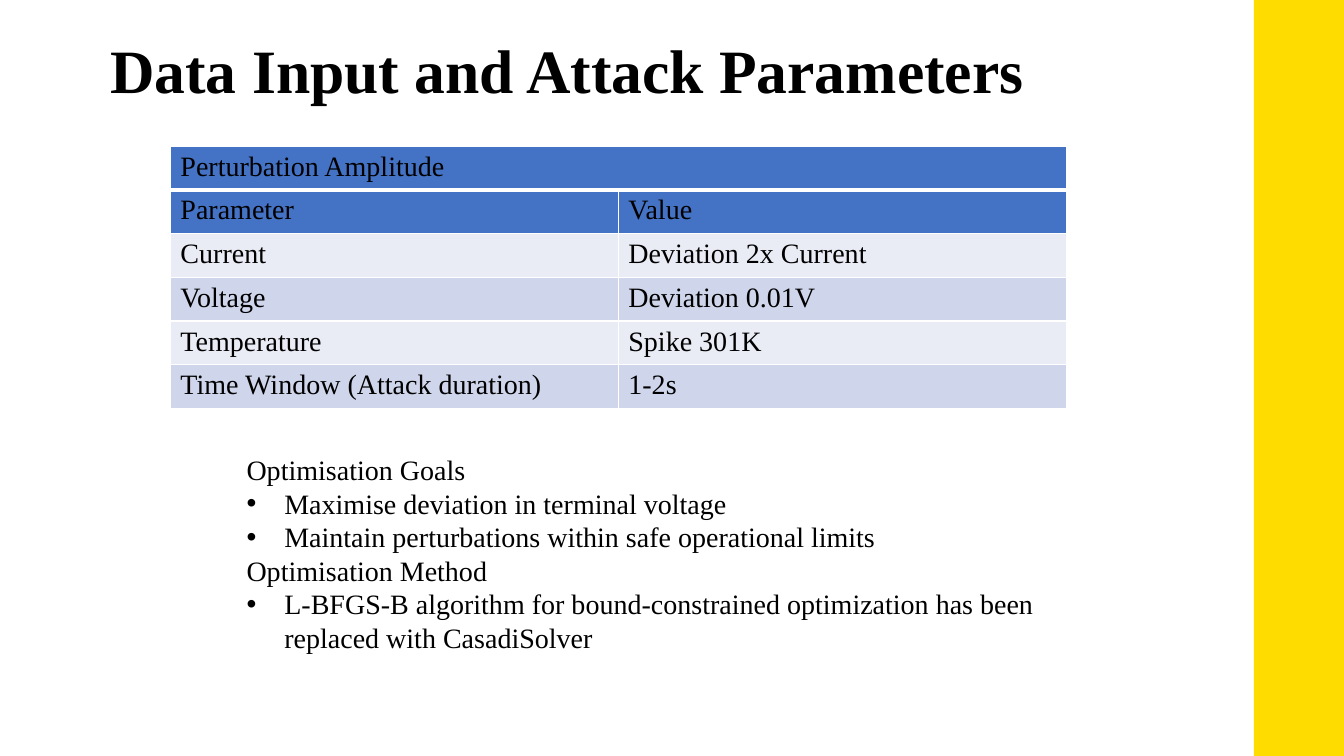
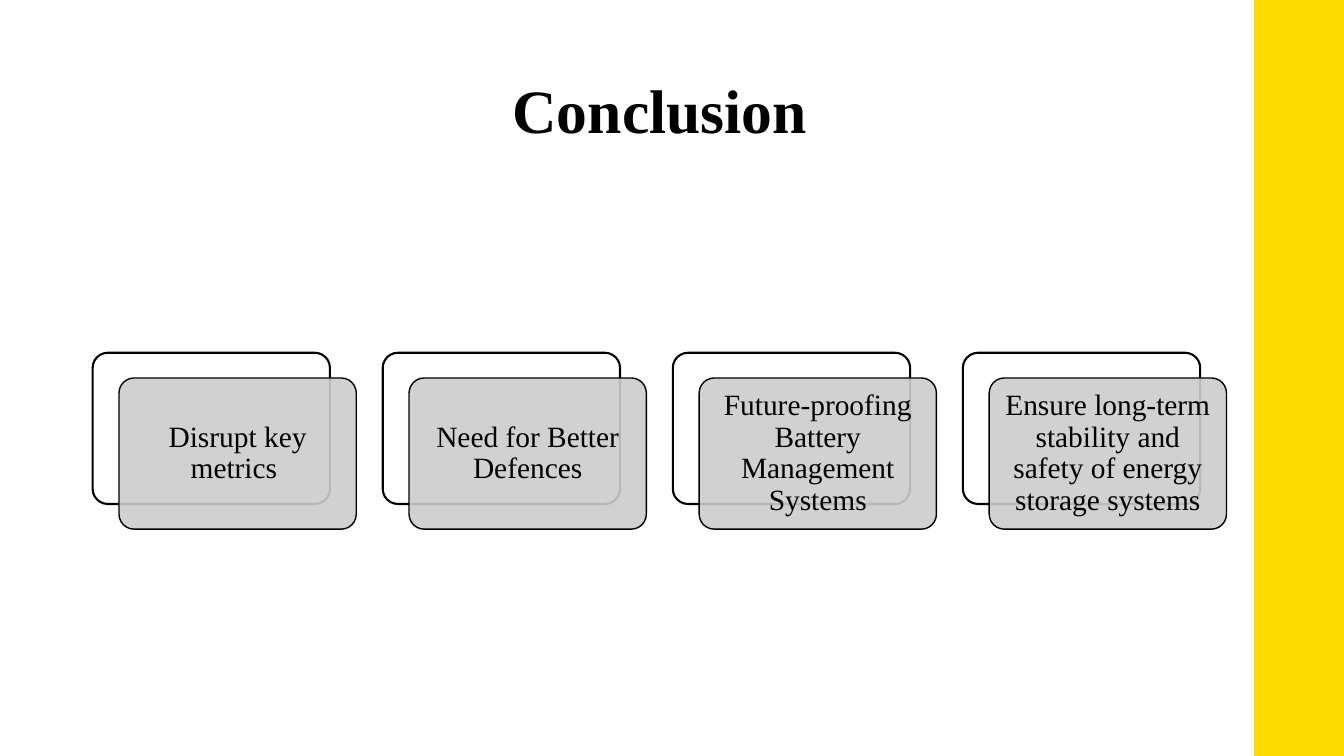
from pptx import Presentation
from pptx.dml.color import RGBColor
from pptx.enum import shapes, text
from pptx.oxml.ns import qn
from pptx.util import Pt
from lxml import etree

FONT = "Times New Roman"
BLACK, WHITE, YELLOW = "000000", "FFFFFF", "FFDC00"
HEADER_BLUE, PALE_BLUE, MID_BLUE = "4472C4", "E9EBF5", "CFD5EA"
CARD_GREY = "CCCCCC"
SLIDE_W, SLIDE_H = 960, 540
BAND_W = 64.4
TITLE_W, TITLE_H = 810.7, 104.4

PARAMETERS = [
    ("Perturbation Amplitude", ""),
    ("Parameter", "Value"),
    ("Current", "Deviation 2x Current"),
    ("Voltage", "Deviation 0.01V"),
    ("Temperature", "Spike 301K"),
    ("Time Window (Attack duration)", "1-2s"),
]
OPTIMISATION = [
    ("Optimisation Goals", False),
    ("Maximise deviation in terminal voltage", True),
    ("Maintain perturbations within safe operational limits", True),
    ("Optimisation Method", False),
    ("L-BFGS-B algorithm for bound-constrained optimization has been "
     "replaced with CasadiSolver", True),
]
CONCLUSIONS = [
    "Disrupt key metrics ",
    "Need for Better Defences",
    "Future-proofing Battery Management Systems",
    "Ensure long-term stability and safety of energy storage systems",
]


def rgb(value):
    return RGBColor.from_string(value)


def points(*lengths):
    return [Pt(length) for length in lengths]


def write(paragraph, words, size, bold=False, centred=False):
    run = paragraph.add_run()
    run.text = words
    run.font.name, run.font.size, run.font.bold = FONT, Pt(size), bold
    run.font.color.rgb = rgb(BLACK)
    if centred:
        paragraph.alignment = text.PP_ALIGN.CENTER
        paragraph.line_spacing = 0.9


def add_box(slide, kind, place, fill, line_width=0):
    box = slide.shapes.add_shape(kind, *points(*place))
    box.shadow.inherit = False
    box.fill.solid()
    box.fill.fore_color.rgb = rgb(fill)
    if line_width:
        box.line.color.rgb = rgb(BLACK)
        box.line.width = Pt(line_width)
    else:
        box.line.fill.background()
    return box


def add_text_frame(slide, place):
    frame = slide.shapes.add_textbox(*points(*place)).text_frame
    frame.word_wrap = True
    return frame


def start_slide(deck, title, left, top):
    """Add a blank slide with the side band and its title."""
    slide = deck.slides.add_slide(deck.slide_layouts[6])
    add_box(slide, shapes.MSO_SHAPE.RECTANGLE,
            (SLIDE_W - BAND_W, 0, BAND_W, SLIDE_H), YELLOW)
    frame = add_text_frame(slide, (left, top, TITLE_W, TITLE_H))
    frame.vertical_anchor = text.MSO_ANCHOR.MIDDLE
    write(frame.paragraphs[0], title, 44, bold=True, centred=True)
    return slide


def set_borders(cell, top, bottom):
    properties = cell._tc.get_or_add_tcPr()
    for side, width in (("L", 1), ("R", 1), ("T", top), ("B", bottom)):
        line = etree.SubElement(properties, qn(f"a:ln{side}"), w=str(Pt(width)))
        fill = etree.SubElement(line, qn("a:solidFill"))
        etree.SubElement(fill, qn("a:srgbClr"), val=WHITE)


def add_parameter_table(slide, left, top, column_width, row_height):
    count = len(PARAMETERS)
    table = slide.shapes.add_table(
        count, 2, *points(left, top, 2 * column_width, count * row_height)).table
    for column in table.columns:
        column.width = Pt(column_width)
    for index, values in enumerate(PARAMETERS):
        table.rows[index].height = Pt(row_height)
        if index < 2:
            fill = HEADER_BLUE
        else:
            fill = MID_BLUE if index % 2 else PALE_BLUE
        for cell, words in zip(table.rows[index].cells, values):
            set_borders(cell, top=3 if index == 1 else 1,
                        bottom=3 if index == 0 else 1)
            cell.fill.solid()
            cell.fill.fore_color.rgb = rgb(fill)
            if words:
                write(cell.text_frame.paragraphs[0], words, 20)
    table.cell(0, 0).merge(table.cell(0, 1))


def add_bullet(paragraph, indent):
    properties = paragraph._p.get_or_add_pPr()
    properties.set("marL", str(Pt(indent)))
    properties.set("indent", str(-Pt(indent)))
    etree.SubElement(properties, qn("a:buFont"), typeface="Arial")
    etree.SubElement(properties, qn("a:buChar"), char="•")


def add_optimisation_list(slide, place):
    frame = add_text_frame(slide, place)
    for index, (words, bulleted) in enumerate(OPTIMISATION):
        paragraph = frame.add_paragraph() if index else frame.paragraphs[0]
        if bulleted:
            add_bullet(paragraph, 27)
        write(paragraph, words, 20)


def add_card(slide, words, left, top, width=169.5, height=108):
    """Add a white card with a translucent grey one, bearing the words, over it."""
    rounded = shapes.MSO_SHAPE.ROUNDED_RECTANGLE
    back = add_box(slide, rounded, (left, top, width, height), WHITE, 1.5)
    front = add_box(slide, rounded, (left + 18.8, top + 18, width, height),
                    CARD_GREY, 1)
    for card in (back, front):
        card.adjustments[0] = 0.1
    colour = front._element.spPr.find(qn("a:solidFill"))[0]
    etree.SubElement(colour, qn("a:alpha"), val="90000")
    frame = front.text_frame
    frame.word_wrap = True
    frame.vertical_anchor = text.MSO_ANCHOR.MIDDLE
    frame.margin_left = frame.margin_right = Pt(6.3)
    frame.margin_top = frame.margin_bottom = Pt(6.3)
    write(frame.paragraphs[0], words, 21, centred=True)


def main():
    deck = Presentation()
    deck.slide_width, deck.slide_height = points(SLIDE_W, SLIDE_H)

    inputs = start_slide(deck, "Data Input and Attack Parameters", 0, 0)
    add_optimisation_list(inputs, (169, 319.7, 622, 177))
    add_parameter_table(inputs, 121.7, 104.4, 320, 31.2)

    conclusion = start_slide(deck, "Conclusion", 66, 28.8)
    for index, words in enumerate(CONCLUSIONS):
        add_card(conclusion, words, 66.2 + index * 207.2, 252)

    deck.save("out.pptx")


if __name__ == "__main__":
    main()
